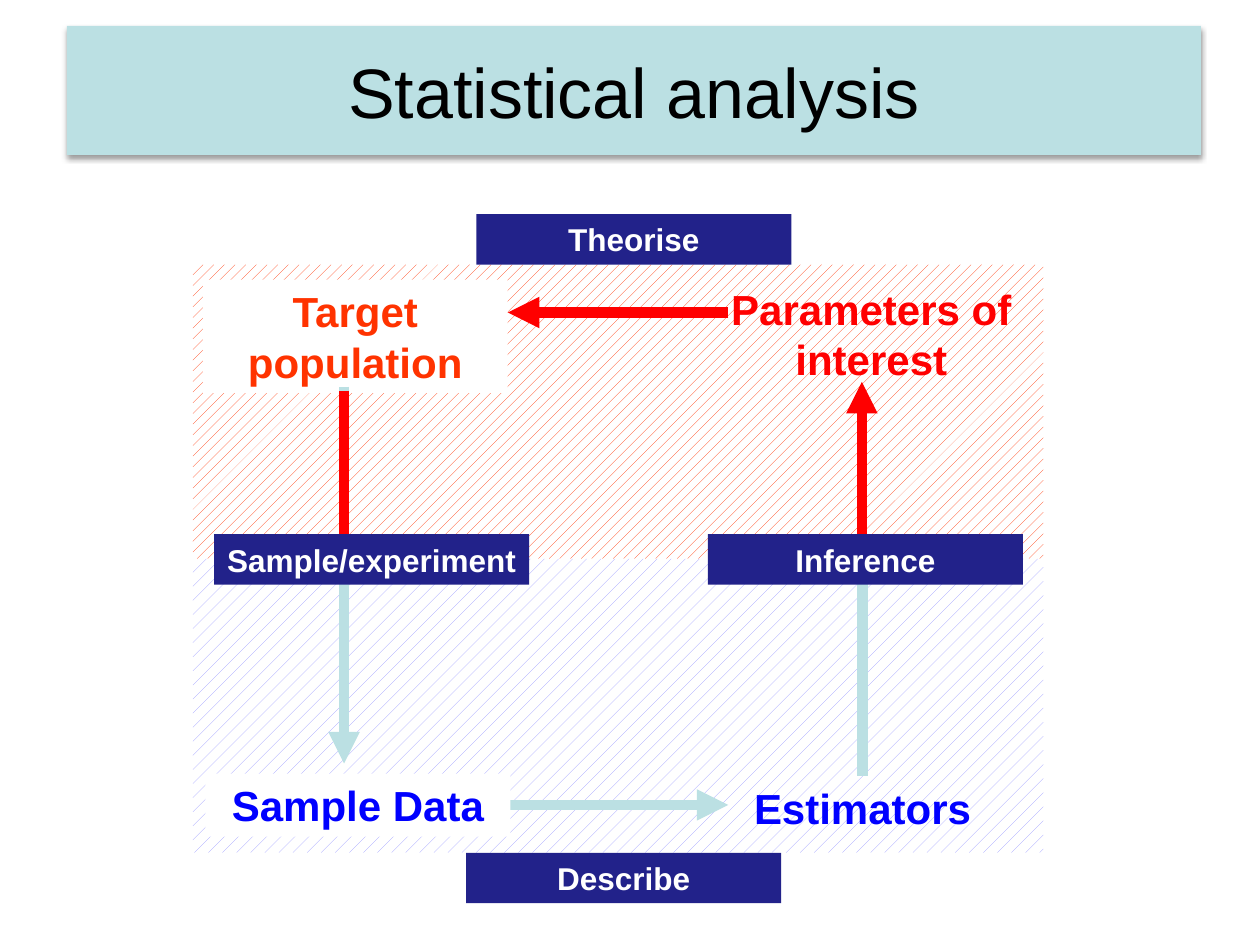
from lxml import etree
from pptx import Presentation
from pptx.dml.color import RGBColor
from pptx.enum.dml import MSO_PATTERN
from pptx.enum.shapes import MSO_CONNECTOR, MSO_SHAPE
from pptx.enum.text import MSO_ANCHOR, PP_ALIGN
from pptx.oxml.ns import qn
from pptx.util import Pt

RECTANGLE = MSO_SHAPE.RECTANGLE
STRAIGHT = MSO_CONNECTOR.STRAIGHT
TOP, MIDDLE = MSO_ANCHOR.TOP, MSO_ANCHOR.MIDDLE
CENTER = PP_ALIGN.CENTER
SPARSE, DENSE = MSO_PATTERN.PERCENT_10, MSO_PATTERN.PERCENT_20

COLORS = {
    "teal": "BBE0E3", "navy": "22228A", "white": "FFFFFF", "black": "000000",
    "red": "FF0000", "orange": "FF3300", "blue": "0000FF", "lilac": "9999FF",
}
rgb = {name: RGBColor.from_string(value) for name, value in COLORS.items()}

prs = Presentation()
prs.slide_width, prs.slide_height = Pt(720), Pt(540)
slide = prs.slides.add_slide(prs.slide_layouts[6])


def add_box(text, left, top, width, height, fill, color, size, bold=True, anchor=TOP):
    box = slide.shapes.add_shape(RECTANGLE, Pt(left), Pt(top), Pt(width), Pt(height))
    box.shadow.inherit = False
    box.line.fill.background()
    if fill:
        box.fill.solid()
        box.fill.fore_color.rgb = rgb[fill]
    else:
        box.fill.background()
    frame = box.text_frame
    frame.word_wrap = True
    frame.vertical_anchor = anchor
    paragraph = frame.paragraphs[0]
    paragraph.alignment = CENTER
    run = paragraph.add_run()
    run.text = text
    run.font.name = "Arial"
    run.font.size = Pt(size)
    run.font.bold = bold
    run.font.color.rgb = rgb[color]
    return box


def add_line(x1, y1, x2, y2, color, arrow=True):
    line = slide.shapes.add_connector(STRAIGHT, Pt(x1), Pt(y1), Pt(x2), Pt(y2))
    line.line.color.rgb = rgb[color]
    line.line.width = Pt(6)
    if arrow:
        etree.SubElement(line.line._get_or_add_ln(), qn("a:tailEnd"), type="triangle")
    etree.SubElement(line._element.spPr, qn("a:effectLst"))
    return line


# Title bar with a soft shadow below
title = add_box("Statistical analysis", 38.2, 14.8, 648, 73.8, "teal", "black", 40, False, MIDDLE)
effects = title._element.spPr.find(qn("a:effectLst"))
shadow = etree.SubElement(effects, qn("a:outerShdw"), blurRad=str(Pt(3.1)), dist=str(Pt(1.6)),
                          dir="5400000", rotWithShape="0")
shadow_color = etree.SubElement(shadow, qn("a:srgbClr"), val=COLORS["black"])
etree.SubElement(shadow_color, qn("a:alpha"), val="38000")

# Hatched halves: population above, sample below
HALF_HEIGHT = 168
for row, pattern, color in [(1, SPARSE, "lilac"), (0, DENSE, "orange")]:
    half = slide.shapes.add_shape(RECTANGLE, Pt(110.2), Pt(151.2 + row * HALF_HEIGHT),
                                  Pt(486), Pt(HALF_HEIGHT))
    half.shadow.inherit = False
    half.line.fill.background()
    half.fill.patterned()
    half.fill.pattern = pattern
    half.fill.fore_color.rgb = rgb[color]
    half.fill.back_color.rgb = rgb["white"]

# Describe arrow, which starts behind the sample label
add_line(230.4, 460, 416.2, 460, "teal")

# Corner labels
add_box("Target population", 115.9, 159.8, 174.2, 64.8, "white", "orange", 24)
add_box("Sample Data", 117.4, 442.1, 174.2, 36, "white", "blue", 24)
add_box("Parameters of interest", 396, 158.4, 203.8, 64.8, None, "red", 24)
estimators = add_box("Estimators", 391, 443.5, 203.8, 36, None, "blue", 24)

# Sampling arrow, red in the population half
add_line(196.6, 221, 196.6, 436.3, "teal")
add_line(196.6, 223.2, 196.6, 328.3, "red", arrow=False)

# Inference arrow, teal in the sample half
add_line(492.5, 439.2, 492.5, 218.2, "red")
inference_stem = add_line(492.9, 319, 492.9, 443.5, "teal", arrow=False)
inference_stem.end_connect(estimators, 0)

# Theorise arrow
add_line(416.2, 178.6, 290.2, 178.6, "red")

# Names of the steps
for step, left, top in [
    ("Describe", 266.4, 487.4),
    ("Sample/experiment", 122.4, 305.3),
    ("Inference", 404.6, 305.3),
    ("Theorise", 272.2, 122.4),
]:
    add_box(step, left, top, 180, 28.8, "navy", "white", 18, anchor=MIDDLE)

prs.save("out.pptx")
